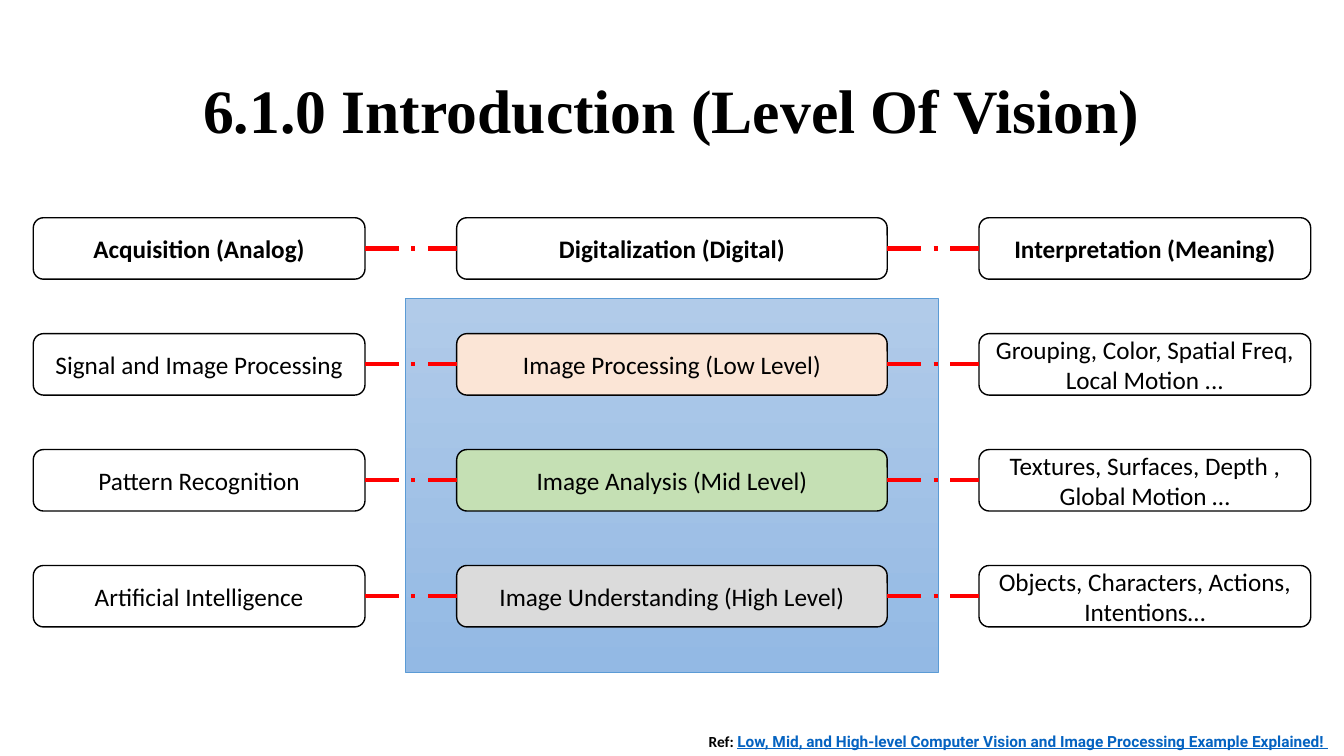
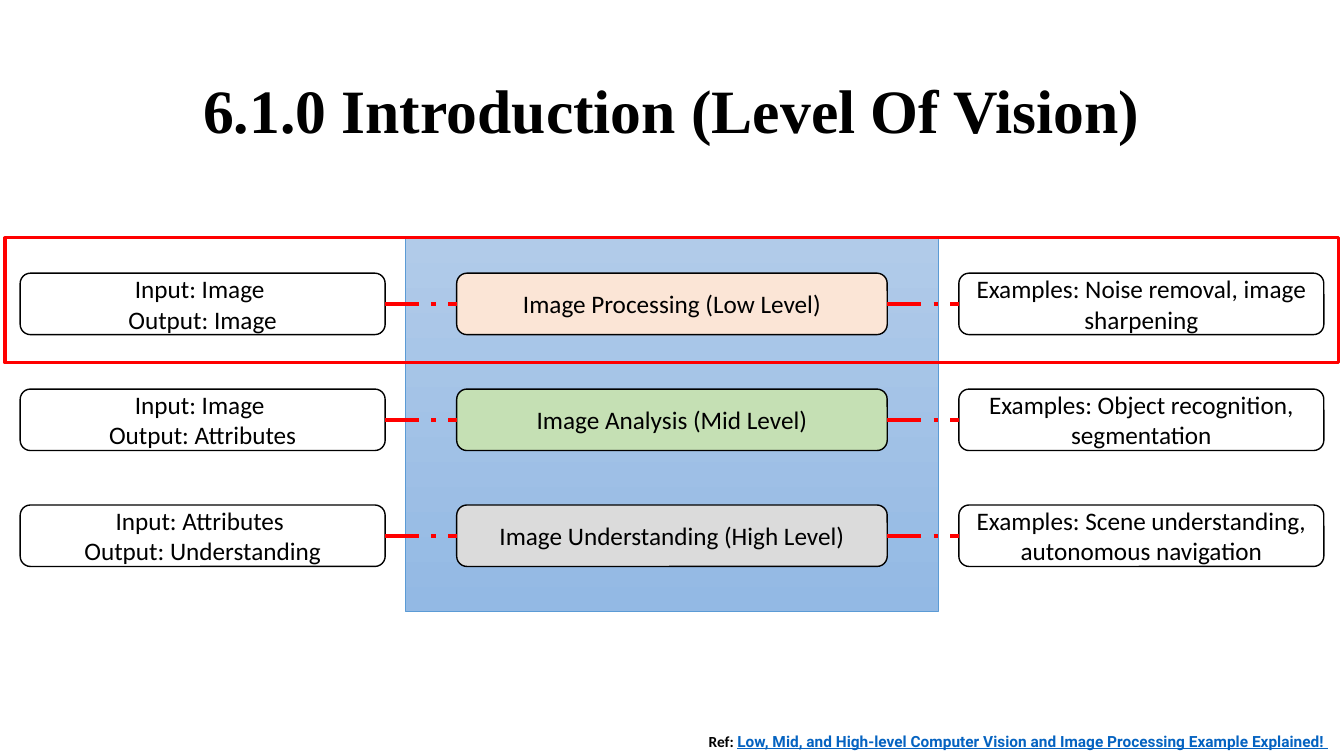
from dataclasses import dataclass

from lxml import etree
from pptx import Presentation
from pptx.dml.color import RGBColor
from pptx.enum.dml import MSO_LINE
from pptx.enum.shapes import MSO_CONNECTOR, MSO_SHAPE
from pptx.enum.text import MSO_ANCHOR, PP_ALIGN
from pptx.oxml.ns import qn
from pptx.shapes.autoshape import Shape
from pptx.slide import Slide
from pptx.text.text import _Paragraph
from pptx.util import Inches, Pt

RECTANGLE = MSO_SHAPE.RECTANGLE
ROUNDED = MSO_SHAPE.ROUNDED_RECTANGLE
STRAIGHT = MSO_CONNECTOR.STRAIGHT
DASH_DOT = MSO_LINE.LONG_DASH_DOT
MIDDLE = MSO_ANCHOR.MIDDLE
CENTER = PP_ALIGN.CENTER
LEFT_SIDE, RIGHT_SIDE = 1, 3

SLIDE_WIDTH, SLIDE_HEIGHT = 13.33, 7.5
ROW_PITCH, BOX_HEIGHT = 1.15, 0.61
CORE_WIDTH = 4.27
PANEL_WIDTH, PANEL_HEIGHT, PANEL_LEAD = 5.28, 3.71, 0.35
HIGHLIGHT_MARGIN, HIGHLIGHT_HEIGHT = 0.05, 1.24

BLACK, WHITE, RED = "000000", "FFFFFF", "FF0000"
PANEL_TOP, PANEL_BOTTOM, PANEL_EDGE = "B1CBE9", "93B9E4", "5B9BD5"

TITLE_FORMAT = {"name": "Times New Roman", "size": Pt(44), "bold": True}
BODY_FORMAT = {"name": "Calibri", "size": Pt(18), "bold": False}
HEADING_FORMAT = {**BODY_FORMAT, "bold": True}
REFERENCE_FORMAT = {"name": "Calibri", "size": Pt(11), "bold": True}
SOURCE_FORMAT = {**REFERENCE_FORMAT, "name": "Roboto", "underline": True}

TITLE = "6.1.0 Introduction (Level Of Vision)"
SOURCE = "Low, Mid, and High-level Computer Vision and Image Processing Example Explained! "


@dataclass(frozen=True)
class Area:
    left: float
    top: float
    width: float
    height: float


@dataclass(frozen=True)
class Core:
    text: str
    fill: str


@dataclass(frozen=True)
class Row:
    left: str
    core: Core
    right: str
    heading: bool = False


@dataclass(frozen=True)
class Diagram:
    top: float
    side_margin: float
    side_width: float
    rows: tuple[Row, ...]
    highlight: bool = False


LOW = Core("Image Processing (Low Level)", "FBE5D6")
MID = Core("Image Analysis (Mid Level)", "C5E0B4")
HIGH = Core("Image Understanding (High Level)", "DBDBDB")

DIAGRAMS = (
    Diagram(2.16, 0.33, 3.29, (
        Row("Acquisition (Analog)", Core("Digitalization (Digital)", WHITE),
            "Interpretation (Meaning)", heading=True),
        Row("Signal and Image Processing", LOW,
            "Grouping, Color, Spatial Freq, Local Motion ..."),
        Row("Pattern Recognition", MID,
            "Textures, Surfaces, Depth ,\nGlobal Motion …"),
        Row("Artificial Intelligence", HIGH,
            "Objects, Characters, Actions, Intentions…"),
    )),
    Diagram(2.71, 0.2, 3.62, (
        Row("Input: Image \nOutput: Image", LOW,
            "Examples: Noise removal, image sharpening"),
        Row("Input: Image \nOutput: Attributes", MID,
            "Examples: Object recognition, segmentation"),
        Row("Input: Attributes \nOutput: Understanding", HIGH,
            "Examples: Scene understanding, autonomous navigation"),
    ), highlight=True),
)


def colour(code: str) -> RGBColor:
    return RGBColor.from_string(code)


def centred(width: float) -> float:
    return (SLIDE_WIDTH - width) / 2


def inches(area: Area) -> tuple[int, ...]:
    return tuple(Inches(length) for length in
                 (area.left, area.top, area.width, area.height))


def add_span(para: _Paragraph, text: str, style: dict, code: str = BLACK) -> None:
    span = para.add_run()
    span.text = text
    for attribute, value in style.items():
        setattr(span.font, attribute, value)
    span.font.color.rgb = colour(code)


def add_text_box(page: Slide, area: Area) -> Shape:
    box = page.shapes.add_textbox(*inches(area))
    box.text_frame.word_wrap = True
    return box


def add_outlined(page: Slide, kind: MSO_SHAPE, area: Area,
                 line: str, weight: float) -> Shape:
    box = page.shapes.add_shape(kind, *inches(area))
    box.shadow.inherit = False
    box.line.color.rgb = colour(line)
    box.line.width = Pt(weight)
    return box


def add_label(page: Slide, area: Area, text: str, fill: str, style: dict) -> Shape:
    box = add_outlined(page, ROUNDED, area, BLACK, 1)
    box.fill.solid()
    box.fill.fore_color.rgb = colour(fill)
    frame = box.text_frame
    frame.word_wrap = True
    frame.vertical_anchor = MIDDLE
    for index, content in enumerate(text.split("\n")):
        para = frame.add_paragraph() if index else frame.paragraphs[0]
        para.alignment = CENTER
        add_span(para, content, style)
    return box


def add_link(page: Slide, start: Shape, end: Shape) -> None:
    link = page.shapes.add_connector(STRAIGHT, 0, 0, 0, 0)
    link.begin_connect(start, RIGHT_SIDE)
    link.end_connect(end, LEFT_SIDE)
    link.line.color.rgb = colour(RED)
    link.line.width = Pt(3)
    link.line.dash_style = DASH_DOT
    etree.SubElement(link._element.spPr, qn("a:effectLst"))


def add_panel(page: Slide, top: float) -> None:
    area = Area(centred(PANEL_WIDTH), top, PANEL_WIDTH, PANEL_HEIGHT)
    panel = add_outlined(page, RECTANGLE, area, PANEL_EDGE, 0.5)
    panel.fill.gradient()
    panel.fill.gradient_angle = 270
    for stop, code in zip(panel.fill.gradient_stops, (PANEL_TOP, PANEL_BOTTOM)):
        stop.color.rgb = colour(code)


def add_row(page: Slide, diagram: Diagram, row: Row, top: float) -> None:
    style = HEADING_FORMAT if row.heading else BODY_FORMAT
    margin, width = diagram.side_margin, diagram.side_width
    cells = (
        (margin, width, row.left, WHITE),
        (centred(CORE_WIDTH), CORE_WIDTH, row.core.text, row.core.fill),
        (SLIDE_WIDTH - margin - width, width, row.right, WHITE),
    )
    boxes = [add_label(page, Area(left, top, span, BOX_HEIGHT), text, fill, style)
             for left, span, text, fill in cells]
    for start, end in zip(boxes, boxes[1:]):
        add_link(page, start, end)


def add_frame(page: Slide) -> None:
    title = add_text_box(page, Area(centred(11.5), 0.4, 11.5, 1.45))
    title.text_frame.vertical_anchor = MIDDLE
    para = title.text_frame.paragraphs[0]
    para.alignment = CENTER
    para.line_spacing = 0.9
    add_span(para, TITLE, TITLE_FORMAT)

    reference = add_text_box(
        page, Area(SLIDE_WIDTH - 6.4, SLIDE_HEIGHT - 0.29, 6.4, 0.29))
    para = reference.text_frame.paragraphs[0]
    add_span(para, "Ref: ", REFERENCE_FORMAT)
    add_span(para, SOURCE, SOURCE_FORMAT, "0563C1")


def add_diagram(page: Slide, diagram: Diagram) -> None:
    tops = [diagram.top + index * ROW_PITCH for index in range(len(diagram.rows))]
    first_level = next(top for top, row in zip(tops, diagram.rows) if not row.heading)
    panel_top = first_level - PANEL_LEAD
    add_panel(page, panel_top)
    for row, top in zip(diagram.rows, tops):
        add_row(page, diagram, row, top)
    if diagram.highlight:
        area = Area(HIGHLIGHT_MARGIN, panel_top,
                    SLIDE_WIDTH - 2 * HIGHLIGHT_MARGIN, HIGHLIGHT_HEIGHT)
        add_outlined(page, RECTANGLE, area, RED, 2.25).fill.background()


def main() -> None:
    deck = Presentation()
    deck.slide_width = Inches(SLIDE_WIDTH)
    deck.slide_height = Inches(SLIDE_HEIGHT)
    for diagram in DIAGRAMS:
        page = deck.slides.add_slide(deck.slide_layouts[6])
        add_frame(page)
        add_diagram(page, diagram)
    deck.save("out.pptx")


if __name__ == "__main__":
    main()
